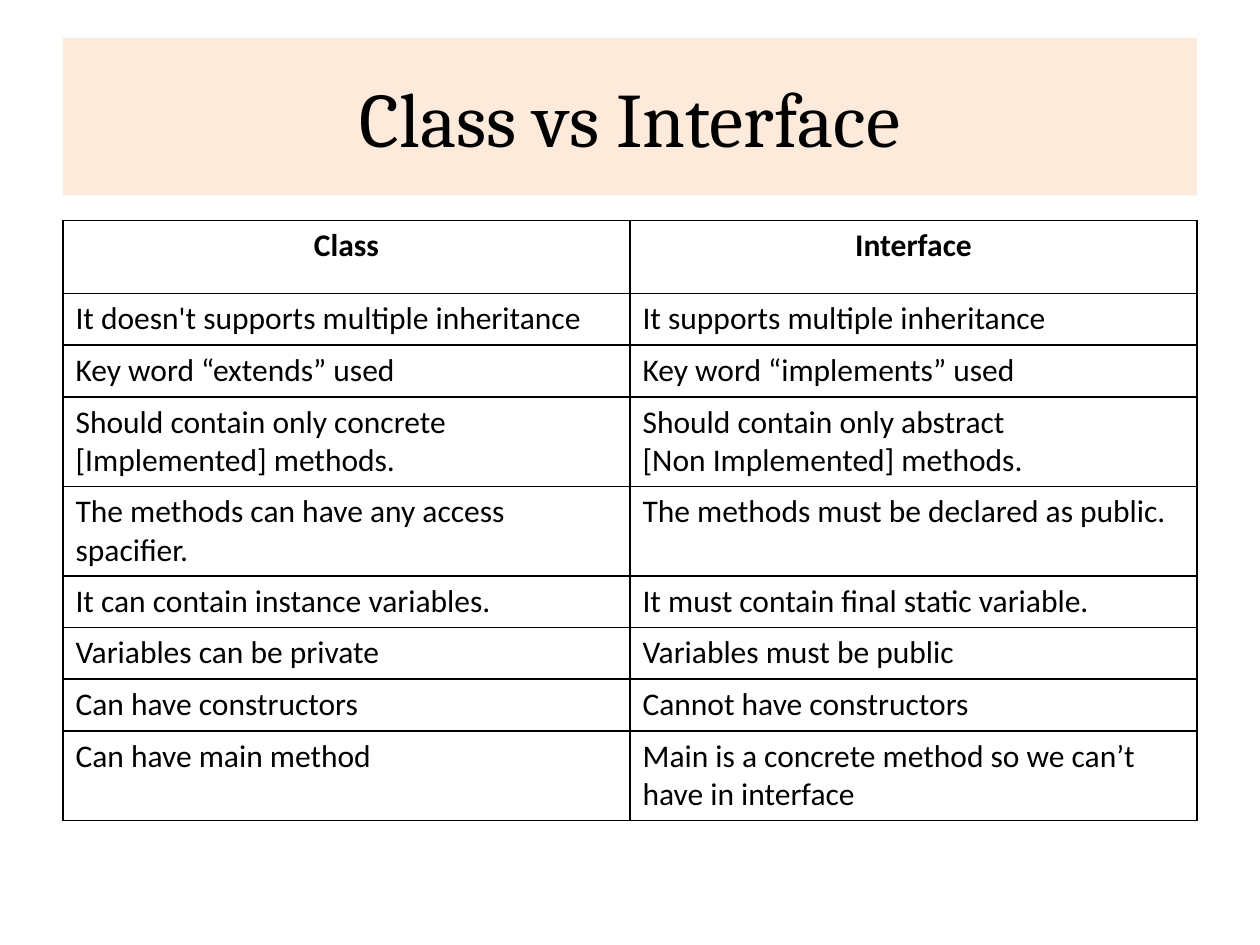
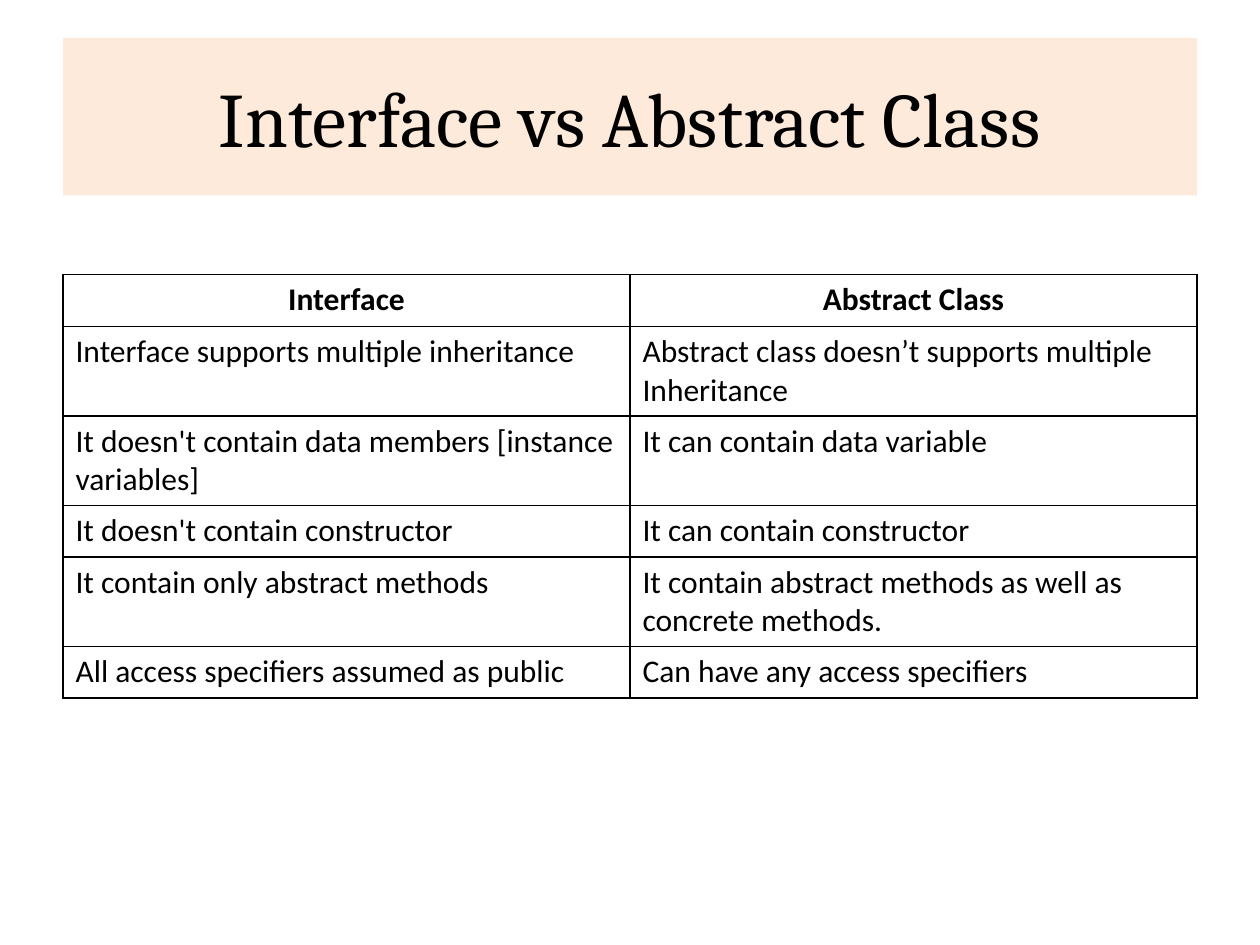
"""Two comparison slides: a tinted title band above a ruled two-column table."""
from lxml import etree
from pptx import Presentation, util as u
from pptx.dml.color import RGBColor
from pptx.enum import text
from pptx.oxml.ns import qn

BLACK = RGBColor(0x00, 0x00, 0x00)
PEACH = RGBColor(0xFD, 0xEA, 0xDA)
WIDTH, HEIGHT = u.Inches(10), u.Inches(7.5)
MARGIN = int(WIDTH * 0.05)
CONTENT_W = WIDTH - 2 * MARGIN
BAND_TOP, BAND_H = u.Inches(0.3), u.Inches(1.25)
ROW_H, EXTRA_LINE_H = u.Inches(0.41), u.Inches(0.28)
HANGING = u.Inches(0.38)
TITLE_ONLY = 5

# Each line of a cell is a paragraph of its own.
CLASS_VS_INTERFACE = [
    ("Class", "Interface"),
    ("It doesn't supports multiple inheritance",
     "It supports multiple inheritance"),
    ("Key word “extends” used", "Key word “implements” used"),
    ("Should contain only concrete \n[Implemented] methods.",
     "Should contain only abstract\n[Non Implemented] methods."),
    ("The methods can have any access\nspacifier.",
     "The methods must be declared as public."),
    ("It can contain instance variables.",
     "It must contain final static variable."),
    ("Variables can be private", "Variables must be public"),
    ("Can have constructors", "Cannot have constructors"),
    ("Can have main method",
     "Main is a concrete method so we can’t \nhave in interface "),
]
INTERFACE_VS_ABSTRACT = [
    ("Interface", "Abstract Class"),
    ("Interface supports multiple inheritance",
     "Abstract class doesn’t supports multiple\nInheritance"),
    ("It doesn't contain data members [instance \nvariables]",
     "It can contain data variable"),
    ("It doesn't contain constructor", "It can contain constructor"),
    ("It contain only abstract methods ",
     "It contain abstract methods as well as \nconcrete methods."),
    ("All access specifiers assumed as public",
     "Can have any access specifiers "),
]


def write(tf, content, font="Calibri", size=18, bold=False,
          align=text.PP_ALIGN.LEFT, hanging=0):
    """Write each line of content as one formatted paragraph."""
    for i, line in enumerate(content.split("\n")):
        p = tf.add_paragraph() if i else tf.paragraphs[0]
        p.alignment = align
        if hanging:
            pPr = p._p.get_or_add_pPr()
            pPr.set("marL", str(hanging))
            pPr.set("indent", str(-hanging))
        r = p.add_run()
        r.text = line
        r.font.name, r.font.size, r.font.bold = font, u.Pt(size), bold
        r.font.color.rgb = BLACK


def add_title(s, content):
    """Turn the title placeholder into the tinted band."""
    sp = s.shapes.title
    sp.left, sp.top, sp.width, sp.height = MARGIN, BAND_TOP, CONTENT_W, BAND_H
    sp.fill.solid()
    sp.fill.fore_color.rgb = PEACH
    tf = sp.text_frame
    tf.auto_size = text.MSO_AUTO_SIZE.NONE
    tf.vertical_anchor = text.MSO_ANCHOR.MIDDLE
    write(tf, content, font="Cambria", size=44, align=text.PP_ALIGN.CENTER)


def rule_cell(cell, width=1):
    """Draw a black line on all four sides of an unfilled cell."""
    cell.fill.background()
    tcPr = cell._tc.get_or_add_tcPr()
    for i, side in enumerate(("lnL", "lnR", "lnT", "lnB")):
        ln = etree.Element(qn(f"a:{side}"), w=str(u.Pt(width)))
        fill = etree.SubElement(ln, qn("a:solidFill"))
        etree.SubElement(fill, qn("a:srgbClr"), val=str(BLACK))
        tcPr.insert(i, ln)


def add_comparison(s, rows, top, header_h=ROW_H):
    """Add a table with a centred bold header and equal columns."""
    extra = sum(max(c.count("\n") for c in row) for row in rows)
    frame = s.shapes.add_table(len(rows), len(rows[0]), MARGIN, top,
                               CONTENT_W, ROW_H * len(rows))
    table = frame.table
    table.horz_banding = table.first_row = False
    for i, row in enumerate(rows):
        table.rows[i].height = ROW_H if i else header_h
        for j, content in enumerate(row):
            cell = table.cell(i, j)
            rule_cell(cell)
            if i:
                write(cell.text_frame, content, hanging=HANGING)
            else:
                write(cell.text_frame, content, bold=True,
                      align=text.PP_ALIGN.CENTER)
    frame.height = header_h + ROW_H * (len(rows) - 1) + EXTRA_LINE_H * extra


def main():
    """Build both slides and save the deck."""
    prs = Presentation()
    prs.slide_width, prs.slide_height = WIDTH, HEIGHT
    for title, rows, top, header_h in (
            ("Class vs Interface", CLASS_VS_INTERFACE,
             u.Inches(1.75), u.Inches(0.58)),
            ("Interface vs Abstract Class", INTERFACE_VS_ABSTRACT,
             u.Inches(2.18), ROW_H)):
        s = prs.slides.add_slide(prs.slide_layouts[TITLE_ONLY])
        add_title(s, title)
        add_comparison(s, rows, top, header_h)
    prs.save("out.pptx")


main()
